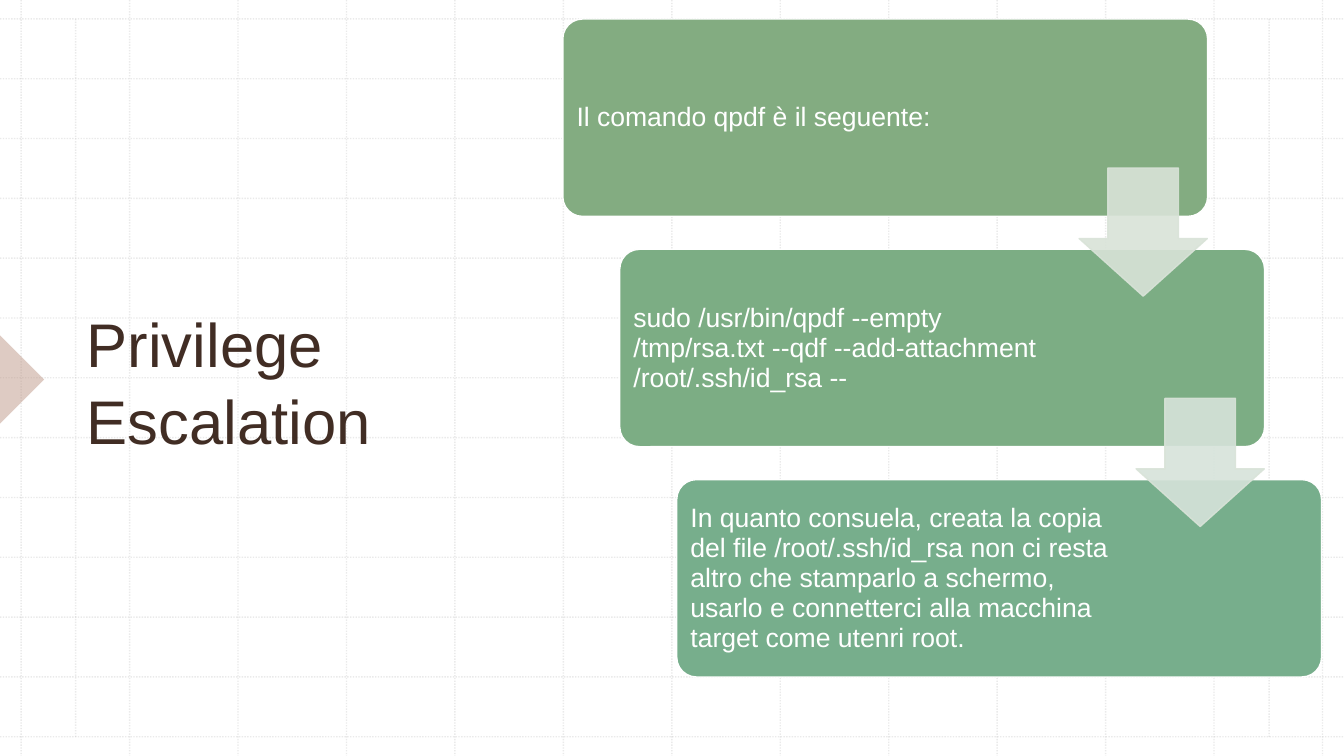
from lxml import etree
from pptx import Presentation
from pptx.dml.color import RGBColor
from pptx.enum.dml import MSO_LINE
from pptx.enum.shapes import MSO_CONNECTOR, MSO_SHAPE
from pptx.enum.text import MSO_ANCHOR, MSO_AUTO_SIZE, PP_ALIGN
from pptx.oxml.ns import qn
from pptx.util import Pt

LINE = MSO_CONNECTOR.STRAIGHT
DOTS = MSO_LINE.ROUND_DOT
CARD = MSO_SHAPE.ROUNDED_RECTANGLE
DOWN = MSO_SHAPE.DOWN_ARROW
WEDGE = MSO_SHAPE.RIGHT_TRIANGLE
MIDDLE = MSO_ANCHOR.MIDDLE
FIXED = MSO_AUTO_SIZE.NONE
LEFT = PP_ALIGN.LEFT

FONT = "Arial"
WIDE, HIGH = 960, 540
COLORS = {
    "white": "FFFFFF", "grid": "BCBCBC", "wedge": "BF9989", "title": "412D24",
    "edge": "D9E3D8",
}
STEPS = [
    ("Il comando qpdf è il seguente:", "83AC81", "D9E3D8"),
    ("sudo /usr/bin/qpdf --empty /tmp/rsa.txt --qdf --add-attachment "
     "/root/.ssh/id_rsa --", "7CAD84", "D6E3DA"),
    ("In quanto consuela, creata la copia del file /root/.ssh/id_rsa non ci "
     "resta altro che stamparlo a schermo, usarlo e connetterci alla macchina "
     "target come utenri root.", "77AE8C", None),
]


def paint(fill, color, alpha=100):
    fill.solid()
    fill.fore_color.rgb = RGBColor.from_string(color)
    if alpha < 100:
        tone = fill._xPr.find(qn("a:solidFill"))[0]
        etree.SubElement(tone, qn("a:alpha")).set("val", str(alpha * 1000))


def add_form(slide, kind, box, color, alpha=100):
    form = slide.shapes.add_shape(kind, *map(Pt, box))
    form.shadow.inherit = False
    paint(form.fill, color, alpha)
    form.line.fill.background()
    return form


def write(frame, text, size, color, space):
    frame.word_wrap = True
    frame.auto_size = FIXED
    frame.vertical_anchor = MIDDLE
    para = frame.paragraphs[0]
    para.alignment = LEFT
    para.line_spacing = space
    run = para.add_run()
    run.text = text
    run.font.name = FONT
    run.font.size = Pt(size)
    run.font.color.rgb = RGBColor.from_string(color)


def add_grid(slide, box):
    left, top, width, height = box
    right, base = left + width, top + height
    first_x, gap_x = left + 15.12, 77.46
    first_y, gap_y = top + 13.5, 42.73
    last_y = first_y + 12 * gap_y
    rows = [first_y + i * gap_y for i in range(13)]
    cols = [first_x + i * gap_x for i in range(13)]
    ends = [(left, y, right, y) for y in rows]
    ends += [(x, top, x, base) for x in cols]
    ends += [(x, first_y, x, last_y) for x in (left + 54, right - 53.5)]
    for end in ends:
        rule = slide.shapes.add_connector(LINE, *map(Pt, end))
        rule.line.width = Pt(1)
        paint(rule.line.fill, COLORS["grid"], 30)
        rule.line.dash_style = DOTS
        etree.SubElement(rule._element.spPr, qn("a:effectLst"))


def add_title(slide, box):
    left, top, width, height = box
    side = 44.6
    mid = top + height / 2
    wedge = add_form(slide, WEDGE, (-side / 2, mid - side / 2, side, side),
                     COLORS["wedge"], 50)
    wedge.rotation = 225
    title = slide.shapes.title
    title.left, title.top, title.width, title.height = map(Pt, box)
    write(title.text_frame, "Privilege Escalation", 44, COLORS["title"], 1.05)
    slide.shapes._spTree.append(title._element)


def add_steps(slide, box):
    left, top, width, height = box
    wide, high, tip = 460.6, 141, 91.6
    last = len(STEPS) - 1
    step_x, step_y = (width - wide) / last, (height - high) / last
    spots = [(left + i * step_x, top + i * step_y) for i in range(last + 1)]
    for (x, y), (text, color, _) in zip(spots, STEPS):
        card = add_form(slide, CARD, (x, y, wide, high), color)
        card.adjustments[0] = 0.1
        paint(card.line.fill, COLORS["white"])
        card.line.width = Pt(1)
        frame = card.text_frame
        frame.margin_left = frame.margin_top = frame.margin_bottom = Pt(5.7)
        frame.margin_right = Pt(138.5)
        write(frame, text, 19, COLORS["white"], 0.94)
    for (x, y), (_, _, color) in zip(spots[:last], STEPS):
        arrow = add_form(slide, DOWN, (x + 368.8, y + 106.4, tip, tip), color, 90)
        arrow.adjustments[0] = 0.55
        arrow.adjustments[1] = 0.45
        paint(arrow.line.fill, COLORS["edge"], 90)
        arrow.line.width = Pt(1)


def main():
    deck = Presentation()
    deck.slide_width, deck.slide_height = Pt(WIDE), Pt(HIGH)
    slide = deck.slides.add_slide(deck.slide_layouts[5])
    paint(slide.background.fill, COLORS["white"])
    add_grid(slide, (0, 0, WIDE, HIGH))
    add_title(slide, (54.7, 56.9, 270, 428.4))
    add_steps(slide, (402, 13.6, 542, 470))
    deck.save("out.pptx")


if __name__ == "__main__":
    main()
